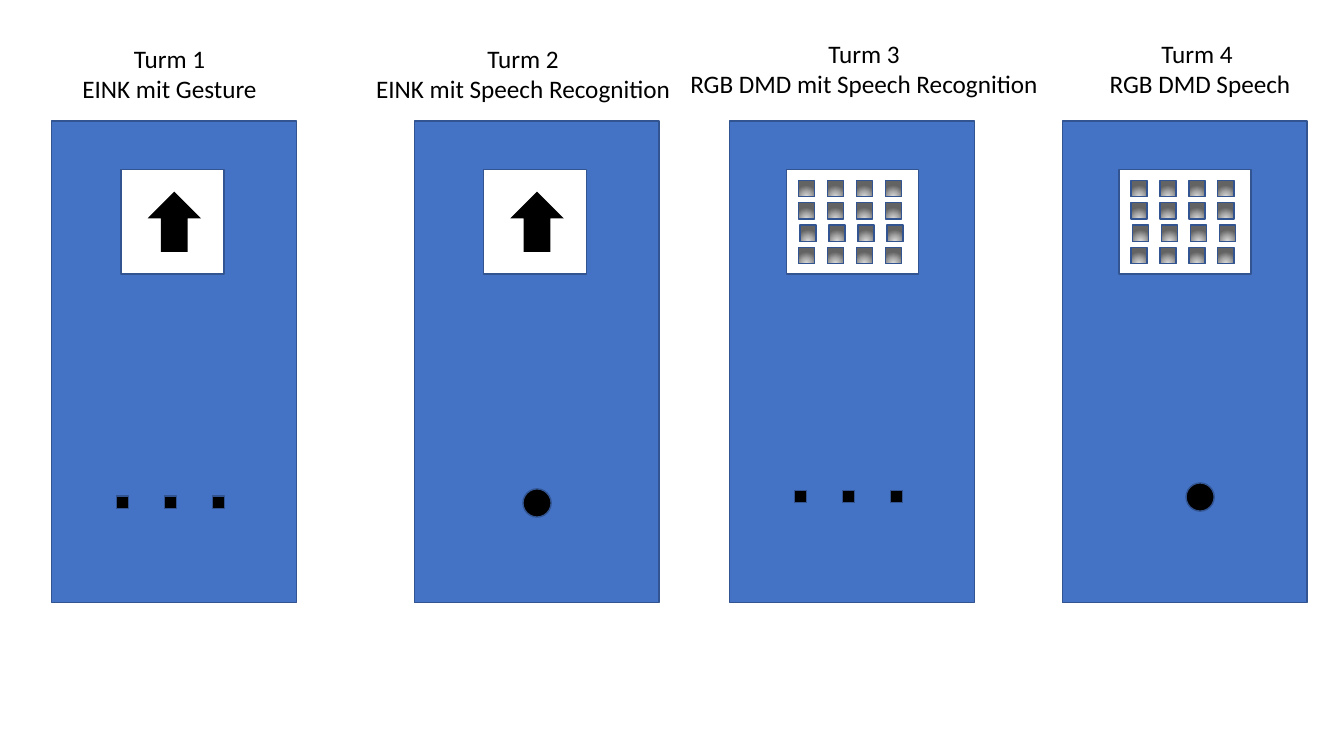
from lxml import etree
from pptx import Presentation
from pptx.dml.color import RGBColor
from pptx.enum.shapes import MSO_SHAPE as Preset
from pptx.enum.text import MSO_AUTO_SIZE as AutoSize, PP_ALIGN as Align
from pptx.oxml import parse_xml
from pptx.util import Cm, Pt

BLUE = RGBColor(0x44, 0x72, 0xC4)
OUTLINE = RGBColor(0x32, 0x54, 0x91)
WHITE = RGBColor(0xFF, 0xFF, 0xFF)
BLACK = RGBColor(0, 0, 0)
LED_STOPS = [
    (0, RGBColor(0xDB, 0xDB, 0xDB)),
    (46, RGBColor(0xAA, 0xAA, 0xAA)),
    (100, RGBColor(0x63, 0x63, 0x63)),
]
stops = "".join(
    f'<a:gs pos="{position * 1000}"><a:srgbClr val="{color}"/></a:gs>'
    for position, color in LED_STOPS
)
LED_GRADIENT = (
    '<a:gradFill xmlns:a="http://schemas.openxmlformats.org/drawingml/2006/main">'
    f'<a:gsLst>{stops}</a:gsLst><a:path path="circle">'
    '<a:fillToRect l="50000" t="130000" r="50000" b="-30000"/></a:path></a:gradFill>'
)


def add_figure(shapes, preset, left, top, width, height, fill=None, outlined=True):
    shape = shapes.add_shape(preset, Cm(left), Cm(top), Cm(width), Cm(height))
    shape.shadow.inherit = False
    if fill is None:
        shape.fill.background()
        properties = shape.element.spPr
        no_fill = properties.find("{*}noFill")
        properties.replace(no_fill, parse_xml(LED_GRADIENT))
    else:
        shape.fill.solid()
        shape.fill.fore_color.rgb = fill
    if outlined:
        shape.line.color.rgb = OUTLINE
        shape.line.width = Pt(1)
    else:
        shape.line.fill.background()


def add_text(lines, left, top, width, height, size=18, font="Calibri", color=BLACK):
    box = slide.shapes.add_textbox(Cm(left), Cm(top), Cm(width), Cm(height))
    frame = box.text_frame
    frame.word_wrap = False
    frame.auto_size = AutoSize.SHAPE_TO_FIT_TEXT
    frame.text = "\n".join(lines)
    for paragraph in frame.paragraphs:
        paragraph.alignment = Align.CENTER
        paragraph.font.size = Pt(size)
        paragraph.font.name = font
        paragraph.font.color.rgb = color


presentation = Presentation()
presentation.slide_width, presentation.slide_height = Cm(33.87), Cm(19.05)
slide = presentation.slides.add_slide(presentation.slide_layouts[6])
shapes = slide.shapes

TOWER_TOP, TOWER_WIDTH, TOWER_HEIGHT = 3.05, 6.17, 12.14
SCREEN_TOP, SCREEN_HEIGHT = 4.27, 2.64
LED_SIZE, LED_COLUMN_STEP, LED_ROW_STEP = 0.41, 0.73, 0.56
SENSOR_SIZE, SENSOR_STEP = 0.31, 1.21
BUTTON_SIZE = 0.71

towers = [
    (1.3, "eink", "sensors", 1.63, 12.5, "Turm 1", "EINK mit Gesture", 1.8, 0.97, 4.95),
    (10.44, "eink", "button", 2.74, 12.32, "Turm 2", "EINK mit Speech Recognition", 9.17, 0.97, 8.03),
    (18.39, "dmd", "sensors", 1.63, 12.36, "Turm 3", "RGB DMD mit Speech Recognition", 17.09, 0.84, 9.37),
    (26.77, "dmd", "button", 3.12, 12.17, "Turm 4", " RGB DMD Speech", 27.53, 0.84, 5.28),
]

for (tower_left, screen, control, control_offset, control_top,
     name, description, title_left, title_top, title_width) in towers:
    add_figure(shapes, Preset.RECTANGLE, tower_left, TOWER_TOP, TOWER_WIDTH, TOWER_HEIGHT, BLUE)

    if screen == "eink":
        add_figure(shapes, Preset.RECTANGLE, tower_left + 1.75, SCREEN_TOP, 2.6, SCREEN_HEIGHT, WHITE)
        add_figure(shapes, Preset.UP_ARROW, tower_left + 2.42, 4.83, 1.35, 1.52, BLACK, outlined=False)
    else:
        matrix = shapes.add_group_shape().shapes
        screen_left = tower_left + 1.43
        add_figure(matrix, Preset.RECTANGLE, screen_left, SCREEN_TOP, 3.33, SCREEN_HEIGHT, WHITE)
        for row in range(4):
            row_left = screen_left + (0.34 if row == 2 else 0.3)
            for column in range(4):
                add_figure(matrix, Preset.RECTANGLE, row_left + column * LED_COLUMN_STEP,
                           4.55 + row * LED_ROW_STEP, LED_SIZE, LED_SIZE)

    control_left = tower_left + control_offset
    if control == "sensors":
        for index in range(3):
            add_figure(shapes, Preset.RECTANGLE, control_left + index * SENSOR_STEP,
                       control_top, SENSOR_SIZE, SENSOR_SIZE, BLACK)
    else:
        add_figure(shapes, Preset.OVAL, control_left, control_top, BUTTON_SIZE, BUTTON_SIZE, BLACK)

    add_text([name, description], title_left, title_top, title_width, 1.8)

presentation.save("out.pptx")
